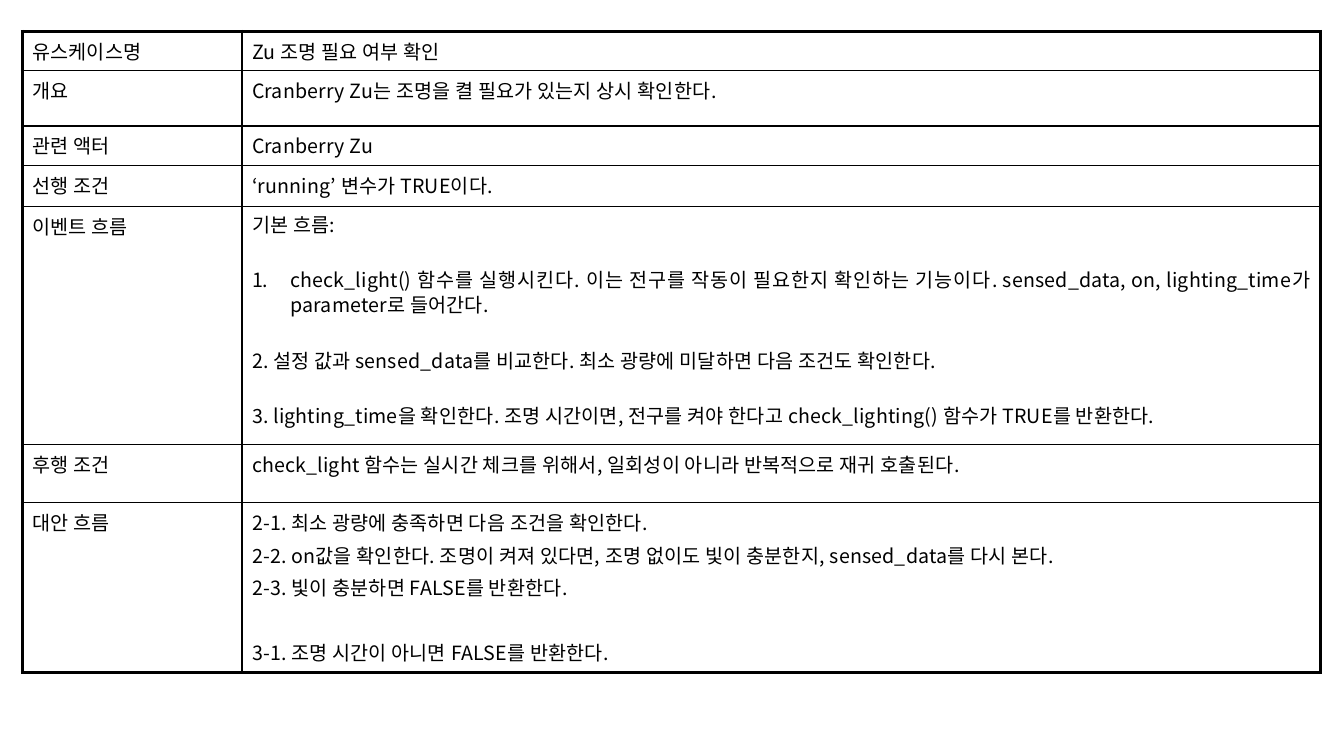
import dataclasses

import lxml.etree
import pptx
import pptx.dml.color
import pptx.enum.text
import pptx.oxml.ns
import pptx.util

PX = 9144


@dataclasses.dataclass(frozen=True)
class Theme:
    ink: str = "000000"
    font: str = "Noto Sans CJK KR"
    size: int = 14
    track: int = 10
    thin: float = 1
    thick: float = 2.25
    gap: float = 2.8
    tight: float = 1.4
    block: int = 21
    branch: int = 26
    lead: float = 0.9


@dataclasses.dataclass(frozen=True)
class Line:
    text: str
    gap: float = Theme.gap
    flow: bool = False
    number: bool = False


THEME = Theme()
COLS = [218, 1070]
ROWS = [
    (39, "유스케이스명", [Line("Zu 조명 필요 여부 확인")]),
    (55, "개요", [Line("Cranberry Zu는 조명을 켤 필요가 있는지 상시 확인한다.")]),
    (39, "관련 액터", [Line("Cranberry Zu")]),
    (41, "선행 조건", [Line("‘running’ 변수가 TRUE이다.")]),
    (236, "이벤트 흐름", [
        Line("기본 흐름:", THEME.tight, True),
        Line("check_light() 함수를 실행시킨다. 이는 전구를 작동이 필요한지 확인하는 기능이다. "
             "sensed_data, on, lighting_time가 parameter로 들어간다.",
             THEME.block, True, True),
        Line("2. 설정 값과 sensed_data를 비교한다. 최소 광량에 미달하면 다음 조건도 확인한다.",
             THEME.block, True),
        Line("3. lighting_time을 확인한다. 조명 시간이면, 전구를 켜야 한다고 "
             "check_lighting() 함수가 TRUE를 반환한다.", THEME.block, True),
    ]),
    (58, "후행 조건", [
        Line("check_light 함수는 실시간 체크를 위해서, 일회성이 아니라 반복적으로 재귀 호출된다."),
    ]),
    (168, "대안 흐름", [
        Line("2-1. 최소 광량에 충족하면 다음 조건을 확인한다."),
        Line("2-2. on값을 확인한다. 조명이 켜져 있다면, 조명 없이도 빛이 충분한지, "
             "sensed_data를 다시 본다."),
        Line("2-3. 빛이 충분하면 FALSE를 반환한다."),
        Line("3-1. 조명 시간이 아니면 FALSE를 반환한다.", THEME.branch),
    ]),
]


def px(count):
    return pptx.util.Emu(count * PX)


def add_node(parent, tag, **attrs):
    return lxml.etree.SubElement(parent, pptx.oxml.ns.qn(tag), attrs)


def style_run(run):
    font = run.font
    font.size = pptx.util.Pt(THEME.size)
    font.color.rgb = pptx.dml.color.RGBColor.from_string(THEME.ink)
    font.name = THEME.font
    props = run._r.get_or_add_rPr()
    props.set("spc", str(THEME.track))
    add_node(props, "a:ea", typeface=THEME.font)


def number_line(para):
    props = para._p.get_or_add_pPr()
    props.set("marL", str(px(38)))
    props.set("indent", str(px(-38)))
    add_node(props, "a:buFont", typeface=THEME.font)
    add_node(props, "a:buAutoNum", type="arabicPeriod")


def fill_text(cell, lines):
    frame = cell.text_frame
    frame.text = "\n".join(line.text for line in lines)
    for index, (para, line) in enumerate(zip(frame.paragraphs, lines)):
        if line.number:
            number_line(para)
        if index:
            para.space_before = pptx.util.Pt(line.gap)
        if line.flow:
            para.alignment = pptx.enum.text.PP_ALIGN.JUSTIFY
            para.line_spacing = THEME.lead
        for run in para.runs:
            style_run(run)


def draw_edges(cell, outer):
    props = cell._tc.get_or_add_tcPr()
    for side in "LRTB":
        width = THEME.thick if side in outer else THEME.thin
        edge = add_node(props, "a:ln" + side, w=str(pptx.util.Pt(width)))
        fill = add_node(edge, "a:solidFill")
        add_node(fill, "a:srgbClr", val=THEME.ink)


def add_grid(slide):
    high = sum(row[0] for row in ROWS)
    grid = slide.shapes.add_table(
        len(ROWS), len(COLS), px(22), px(31), px(sum(COLS)), px(high)).table
    grid.first_row = False
    grid.horz_banding = False
    for column, width in zip(grid.columns, COLS):
        column.width = px(width)
    for index, (height, label, lines) in enumerate(ROWS):
        grid.rows[index].height = px(height)
        ends = ("T" if index == 0 else "") + ("B" if index == len(ROWS) - 1 else "")
        for col, (side, words) in enumerate((("L", [Line(label)]), ("R", lines))):
            cell = grid.cell(index, col)
            fill_text(cell, words)
            draw_edges(cell, side + ends)
            cell.fill.background()


def main():
    deck = pptx.Presentation()
    deck.slide_width = px(1333)
    deck.slide_height = px(750)
    add_grid(deck.slides.add_slide(deck.slide_layouts[6]))
    deck.save("out.pptx")


if __name__ == "__main__":
    main()
